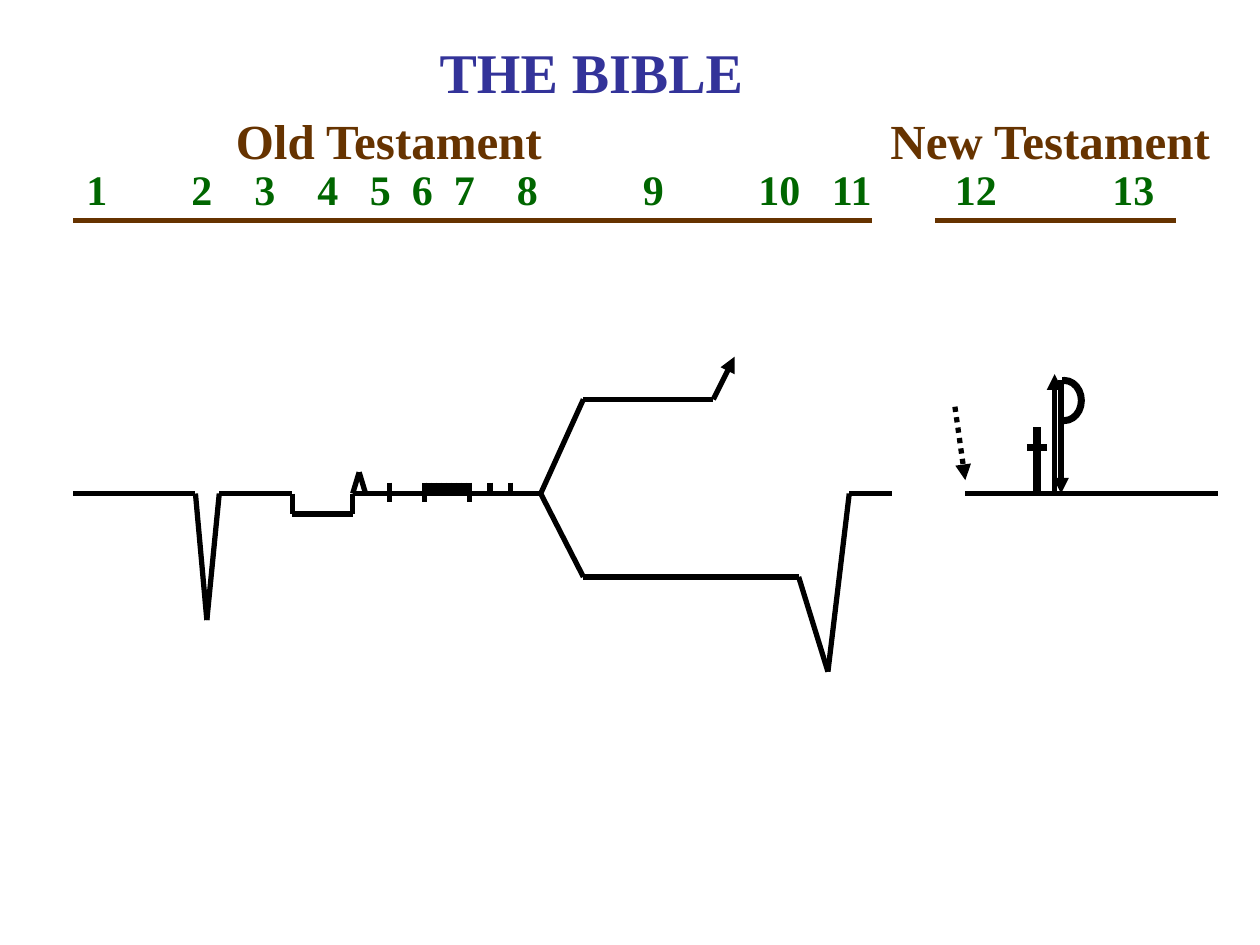
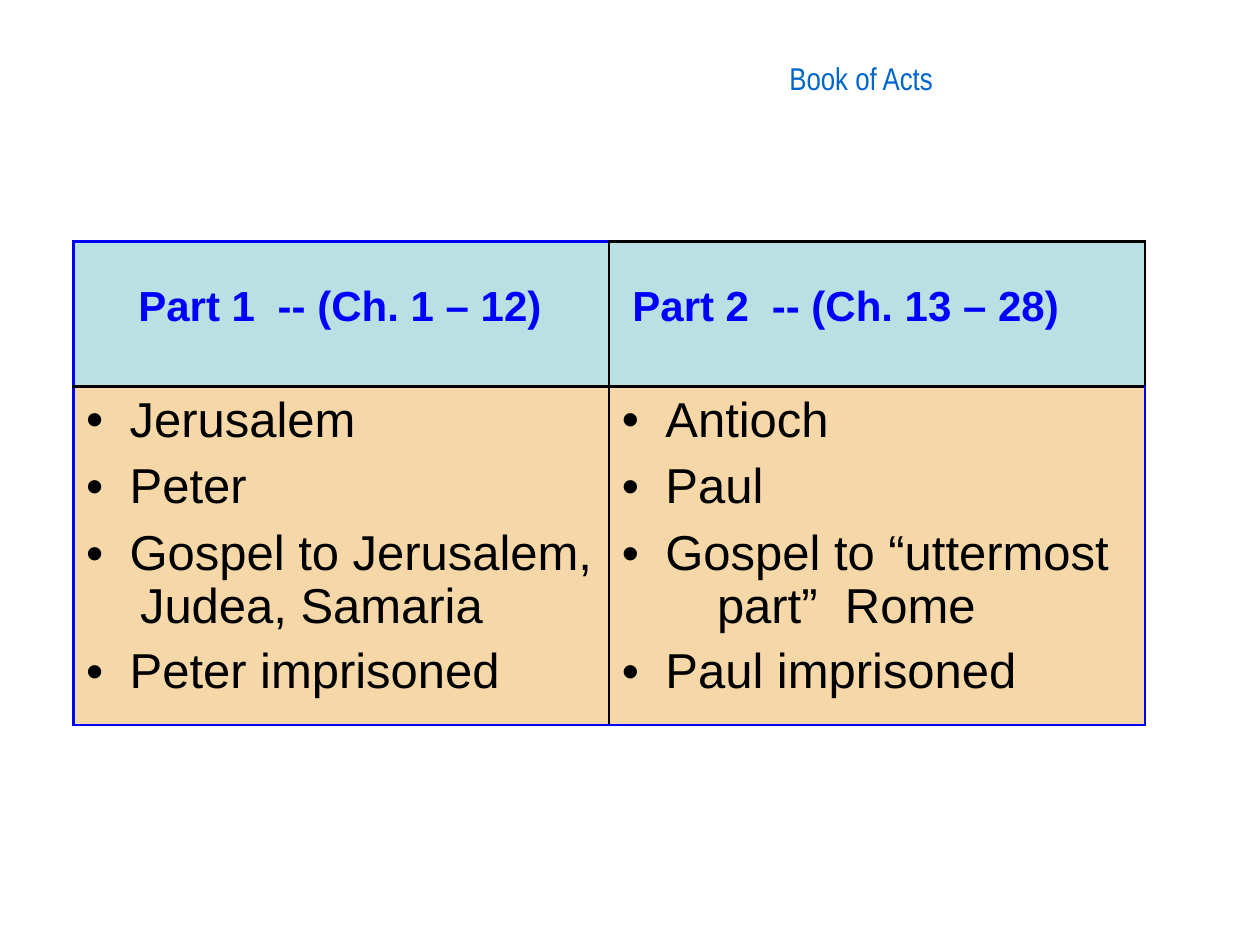
from lxml import etree
from pptx import Presentation
from pptx.dml.color import RGBColor
from pptx.enum.dml import MSO_LINE
from pptx.enum.shapes import MSO_CONNECTOR, MSO_SHAPE
from pptx.enum.text import PP_ALIGN
from pptx.oxml.ns import qn
from pptx.util import Cm, Pt

STRAIGHT = MSO_CONNECTOR.STRAIGHT
OVAL, RECT = MSO_SHAPE.OVAL, MSO_SHAPE.RECTANGLE
CENTER, LEFT = PP_ALIGN.CENTER, PP_ALIGN.LEFT
DOTTED = MSO_LINE.ROUND_DOT  # written as sysDot

BLACK = RGBColor(0x00, 0x00, 0x00)
WHITE = RGBColor(0xFF, 0xFF, 0xFF)
INDIGO = RGBColor(0x33, 0x33, 0x99)
BROWN = RGBColor(0x66, 0x33, 0x00)
GREEN = RGBColor(0x00, 0x66, 0x00)
BLUE = RGBColor(0x00, 0x00, 0xFF)
SKY = RGBColor(0x00, 0x66, 0xCC)
HEAD_FILL = RGBColor(0xBB, 0xE0, 0xE3)
BODY_FILL = RGBColor(0xF6, 0xD8, 0xA8)

SERIF, SANS, NARROW = "Times New Roman", "Arial", "Arial Narrow"

BASE = 9.95            # height of the base line, cm
TICK_TOP = 9.73
NUMBER_UNIT = Pt(6)
NUMBER_COLUMNS = [2, 12, 18, 24, 29, 33, 37, 43, 55, 66, 73, 84.7, 99.7]

BULLET_INDENT = Cm(0.88)
PARTS = [
    ("Part 1\t-- (Ch. 1 – 12)", 2.54,
     ["Jerusalem", "Peter", "Gospel to Jerusalem,", "\tJudea, Samaria",
      "Peter imprisoned"], [Cm(1.09)]),
    ("Part 2\t-- (Ch. 13 – 28)", 12.5,
     ["Antioch", "Paul", "Gospel to “uttermost", "\tpart”\tRome",
      "Paul imprisoned"], [Cm(1.92), Cm(4.5)]),
]


# --- Text ---
def add_tabs(p, stops):
    tabs = etree.SubElement(p._p.get_or_add_pPr(), qn("a:tabLst"))
    for stop in stops:
        etree.SubElement(tabs, qn("a:tab"), pos=str(int(stop)), algn="l")


def add_bullet(p):
    pPr = p._p.get_or_add_pPr()
    pPr.set("marL", str(BULLET_INDENT))
    pPr.set("indent", str(-BULLET_INDENT))
    etree.SubElement(pPr, qn("a:buFont"), typeface=SANS)
    etree.SubElement(pPr, qn("a:buChar"), char="•")


def add_run(p, text, size, font, color, bold=False):
    r = p.add_run()
    r.text = text
    r.font.size = Pt(size)
    r.font.name = font
    r.font.bold = bold
    r.font.color.rgb = color


def add_label(slide, text, box, size, font, color, bold=True, align=LEFT, stops=()):
    tf = slide.shapes.add_textbox(*map(Cm, box)).text_frame
    tf.word_wrap = True
    p = tf.paragraphs[0]
    p.alignment = align
    if stops:
        add_tabs(p, stops)
    add_run(p, text, size, font, color, bold)


# --- Lines and shapes ---
def add_line(slide, start, end, width=3, color=BLACK, arrow=False, dash=None):
    line = slide.shapes.add_connector(STRAIGHT, *map(Cm, (*start, *end)))
    line.line.width = Pt(width)
    line.line.color.rgb = color
    if dash:
        line.line.dash_style = dash
    if arrow:
        etree.SubElement(line.line._get_or_add_ln(), qn("a:tailEnd"), type="triangle")
    etree.SubElement(line._element.spPr, qn("a:effectLst"))


def add_path(slide, *points):
    for start, end in zip(points, points[1:]):
        add_line(slide, start, end)


def add_ticks(slide, xs, bottom):
    for x in xs:
        add_line(slide, (x, TICK_TOP), (x, bottom))


def add_outline(slide, kind, box, color, width, fill=None):
    sp = slide.shapes.add_shape(kind, *map(Cm, box))
    sp.shadow.inherit = False
    if fill is None:
        sp.fill.background()
    else:
        sp.fill.solid()
        sp.fill.fore_color.rgb = fill
    sp.line.color.rgb = color
    sp.line.width = Pt(width)


# --- Table cells ---
def style_cell(cell, fill, **borders):
    tcPr = cell._tc.get_or_add_tcPr()
    for side in "LRTB":
        ln = etree.SubElement(tcPr, qn(f"a:ln{side}"), w=str(Pt(1.47)))
        solid = etree.SubElement(ln, qn("a:solidFill"))
        etree.SubElement(solid, qn("a:srgbClr"), val=str(borders.get(side, BLACK)))
    cell.fill.solid()
    cell.fill.fore_color.rgb = fill


def fill_topics(cell, topics, stops):
    tf = cell.text_frame
    for i, topic in enumerate(topics):
        p = tf.paragraphs[0] if i == 0 else tf.add_paragraph()
        if i:
            p.space_before = Pt(7)
        if topic.startswith("\t"):
            p.line_spacing = 0.7
            add_tabs(p, stops)
        else:
            add_bullet(p)
        add_run(p, topic, 28, SANS, BLACK)


# --- Slides ---
def draw_old_testament(slide):
    # Base line with dips, peak and ticks
    add_path(slide, (1.48, BASE), (3.94, BASE), (4.17, 12.5), (4.42, BASE),
             (5.89, BASE), (5.89, 10.36), (7.11, 10.36), (7.11, BASE), (10.8, BASE))
    add_path(slide, (7.11, BASE), (7.24, 9.52), (7.37, BASE))
    add_ticks(slide, [7.85, 8.56, 9.47], 10.11)
    add_ticks(slide, [8.56 + 0.1 * i for i in range(9)] + [9.88, 10.29], 9.93)
    # Upper and lower branches
    add_path(slide, (10.9, BASE), (11.76, 8.05), (14.38, 8.05))
    add_line(slide, (14.38, 8.05), (14.81, 7.19), arrow=True)
    add_path(slide, (10.16, BASE), (10.9, BASE), (11.76, 11.63), (16.1, 11.63),
             (16.69, 13.54), (17.12, BASE), (17.98, BASE))


def draw_new_testament(slide):
    # Half ring: the white block hides its left side
    add_outline(slide, OVAL, (21.11, 7.67, 0.69, 0.81), BLACK, 4)
    add_outline(slide, RECT, (20.98, 7.42, 0.41, 1.35), WHITE, 0.75, WHITE)
    # Base line and dotted arrow
    add_line(slide, (19.46, BASE), (24.56, BASE))
    add_line(slide, (19.25, 8.2), (19.46, 9.68), arrow=True, dash=DOTTED)
    # Cross
    add_line(slide, (20.9, 8.61), (20.9, BASE), width=4.5)
    add_line(slide, (20.7, 9.02), (21.11, 9.02), width=4.5)
    # Up and down arrows
    add_line(slide, (21.26, BASE), (21.26, 7.54), arrow=True)
    add_line(slide, (21.39, 7.67), (21.39, BASE), arrow=True)


def build_bible(slide):
    add_label(slide, "THE BIBLE", (5.79, 0.64, 12.27, 1.63), 32, SERIF, INDIGO,
              align=CENTER)
    numbers = "".join(f"\t{n}" for n in range(1, len(NUMBER_COLUMNS) + 1))
    add_label(slide, numbers, (1.07, 3.18, 23.06, 1.27), 24, SERIF, GREEN,
              stops=[NUMBER_UNIT * c for c in NUMBER_COLUMNS])
    draw_old_testament(slide)
    draw_new_testament(slide)
    for name, left, start, end in [("Old Testament", 3.61, 1.48, 17.58),
                                   ("New Testament", 16.94, 18.85, 23.7)]:
        add_label(slide, name, (left, 2.11, 8.46, 1.45), 28, SERIF, BROWN, align=CENTER)
        add_line(slide, (start, 4.45), (end, 4.45), color=BROWN)


def build_acts(slide):
    frame = slide.shapes.add_table(2, 2, Cm(1.48), Cm(4.87), Cm(21.6), Cm(9.75))
    table = frame.table
    table.horz_banding = False
    table.first_row = False
    table.rows[0].height, table.rows[1].height = Cm(2.92), Cm(6.83)
    style_cell(table.cell(0, 0), HEAD_FILL, L=BLUE, T=BLUE)
    style_cell(table.cell(0, 1), HEAD_FILL)
    style_cell(table.cell(1, 0), BODY_FILL, L=BLUE, B=BLUE)
    style_cell(table.cell(1, 1), BODY_FILL, R=BLUE, B=BLUE)
    for col, (heading, left, topics, stops) in enumerate(PARTS):
        fill_topics(table.cell(1, col), topics, stops)
        add_label(slide, heading, (left, 5.51, 9.32, 1.27), 24, SANS, BLUE,
                  stops=[Cm(2.81)])
    add_label(slide, "Book of Acts", (12.7, 1.07, 9.32, 1.9), 18, NARROW, SKY,
              bold=False, align=CENTER)


def main():
    prs = Presentation()
    prs.slide_width, prs.slide_height = Cm(25.4), Cm(19.05)
    blank = prs.slide_layouts[6]
    for build in (build_bible, build_acts):
        build(prs.slides.add_slide(blank))
    prs.save("out.pptx")


if __name__ == "__main__":
    main()
